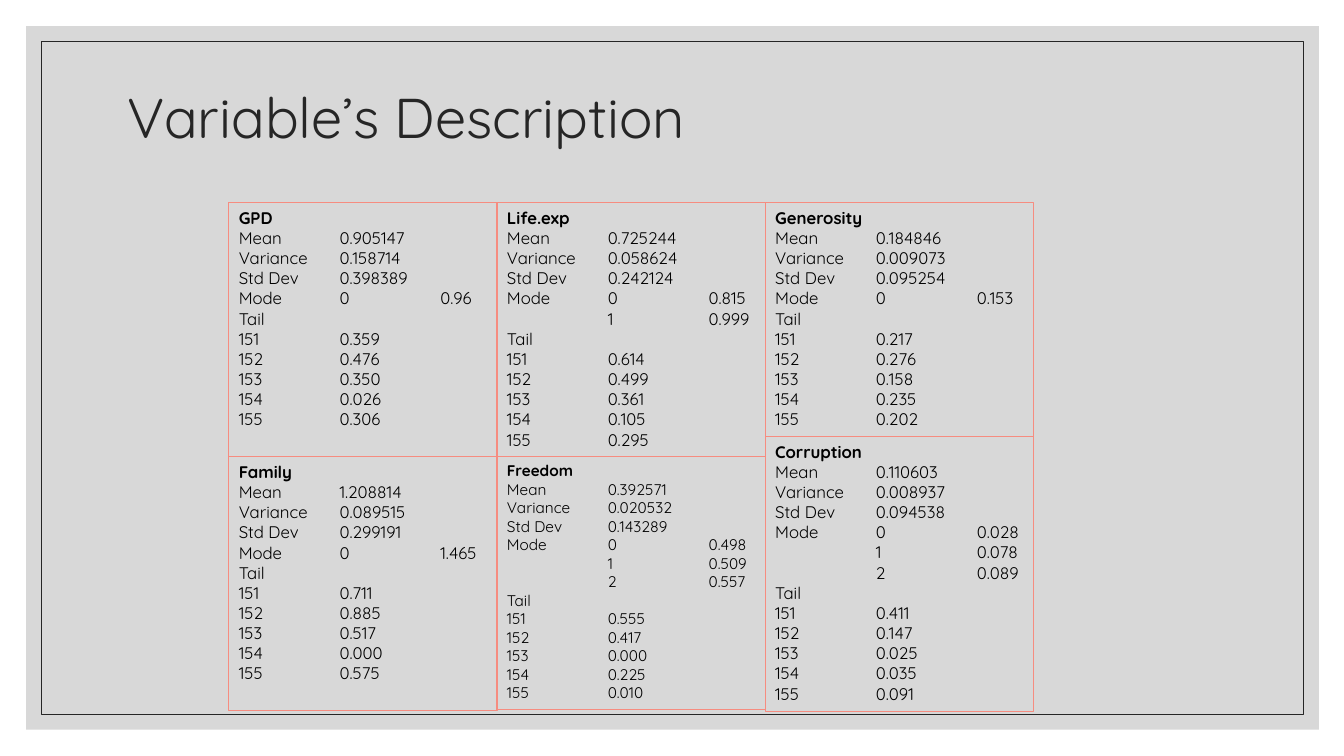
from lxml.etree import SubElement
from pptx import Presentation
from pptx.dml.color import RGBColor
from pptx.enum.shapes import MSO_SHAPE as SHAPE
from pptx.enum.text import MSO_ANCHOR as ANCHOR, PP_ALIGN as ALIGN
from pptx.oxml.ns import qn
from pptx.util import Inches, Pt


def add_rect(s, box, fill=None, alpha=None, line=None, width=0.75):
    """Add a rectangle; fill and line are hex strings, alpha a percentage."""
    sp = s.shapes.add_shape(SHAPE.RECTANGLE, *map(Inches, box))
    sp.shadow.inherit = False
    if fill:
        sp.fill.solid()
        sp.fill.fore_color.rgb = RGBColor.from_string(fill)
        if alpha:
            color = sp.fill._xPr.find(qn("a:solidFill"))[0]
            SubElement(color, qn("a:alpha"), val=str(alpha * 1000))
    else:
        sp.fill.background()
    if line:
        sp.line.color.rgb = RGBColor.from_string(line)
        sp.line.width = Pt(width)
    else:
        sp.line.fill.background()
    return sp


def set_text(sp, lines, size, color="000000", anchor=ANCHOR.TOP,
             bold_first=False, spacing=1.0, tabs=()):
    """Write one left-aligned paragraph per line, with tab stops in inches."""
    tf = sp.text_frame
    tf.word_wrap = True
    tf.vertical_anchor = anchor
    for i, line in enumerate(lines):
        p = tf.add_paragraph() if i else tf.paragraphs[0]
        p.alignment = ALIGN.LEFT
        p.line_spacing = spacing
        if tabs:
            stops = SubElement(p._p.get_or_add_pPr(), qn("a:tabLst"))
            for tab in tabs:
                SubElement(stops, qn("a:tab"), pos=str(Inches(tab)), algn="l")
        r = p.add_run()
        r.text = line
        r.font.name = "Quicksand"
        r.font.size = Pt(size)
        r.font.bold = bold_first and i == 0
        r.font.color.rgb = RGBColor.from_string(color)


prs = Presentation()
prs.slide_width, prs.slide_height = Inches(13.33), Inches(7.5)
s = prs.slides.add_slide(prs.slide_layouts[6])

add_rect(s, (0.26, 0.26, 12.82, 6.98), fill="BFBFBF", alpha=60)
add_rect(s, (0.41, 0.41, 12.52, 6.68), line="262626", width=0.5)

title = s.shapes.add_textbox(*map(Inches, (1.17, 0.44, 11, 1.5)))
set_text(title, ["Variable’s Description"], 40, color="262626",
         anchor=ANCHOR.MIDDLE, spacing=0.9)

# Each column stacks two cards: name, height, text size,
# (mean, variance, std dev), modes, tail values
TOP, LEFT, CARD_W = 2.01, 2.27, 2.66
columns = [
    [("GPD", 2.52, 12, ("0.905147", "0.158714", "0.398389"), ["0.96"],
      ["0.359", "0.476", "0.350", "0.026", "0.306"]),
     ("Family", 2.52, 12, ("1.208814", "0.089515", "0.299191"), ["1.465"],
      ["0.711", "0.885", "0.517", "0.000", "0.575"])],
    [("Life.exp", 2.52, 12, ("0.725244", "0.058624", "0.242124"),
      ["0.815", "0.999"],
      ["0.614", "0.499", "0.361", "0.105", "0.295"]),
     ("Freedom", 2.51, 11, ("0.392571", "0.020532", "0.143289"),
      ["0.498", "0.509", "0.557"],
      ["0.555", "0.417", "0.000", "0.225", "0.010"])],
    [("Generosity", 2.32, 12, ("0.184846", "0.009073", "0.095254"), ["0.153"],
      ["0.217", "0.276", "0.158", "0.235", "0.202"]),
     ("Corruption", 2.73, 12, ("0.110603", "0.008937", "0.094538"),
      ["0.028", "0.078", "0.089"],
      ["0.411", "0.147", "0.025", "0.035", "0.091"])],
]
for col, cards in enumerate(columns):
    top = TOP
    for name, height, size, stats, modes, tail in cards:
        lines = [name]
        lines += [f"{label}\t{value}" for label, value
                  in zip(("Mean", "Variance", "Std Dev"), stats)]
        lines += [f"{'' if i else 'Mode'}\t{i}\t{mode}"
                  for i, mode in enumerate(modes)]
        lines.append("Tail")
        lines += [f"{row}\t{value}" for row, value in enumerate(tail, 151)]
        card = add_rect(s, (LEFT + col * CARD_W, top, CARD_W, height),
                        line="F68C80")
        set_text(card, lines, size, bold_first=True, tabs=(1, 2))
        top += height

prs.save("out.pptx")
